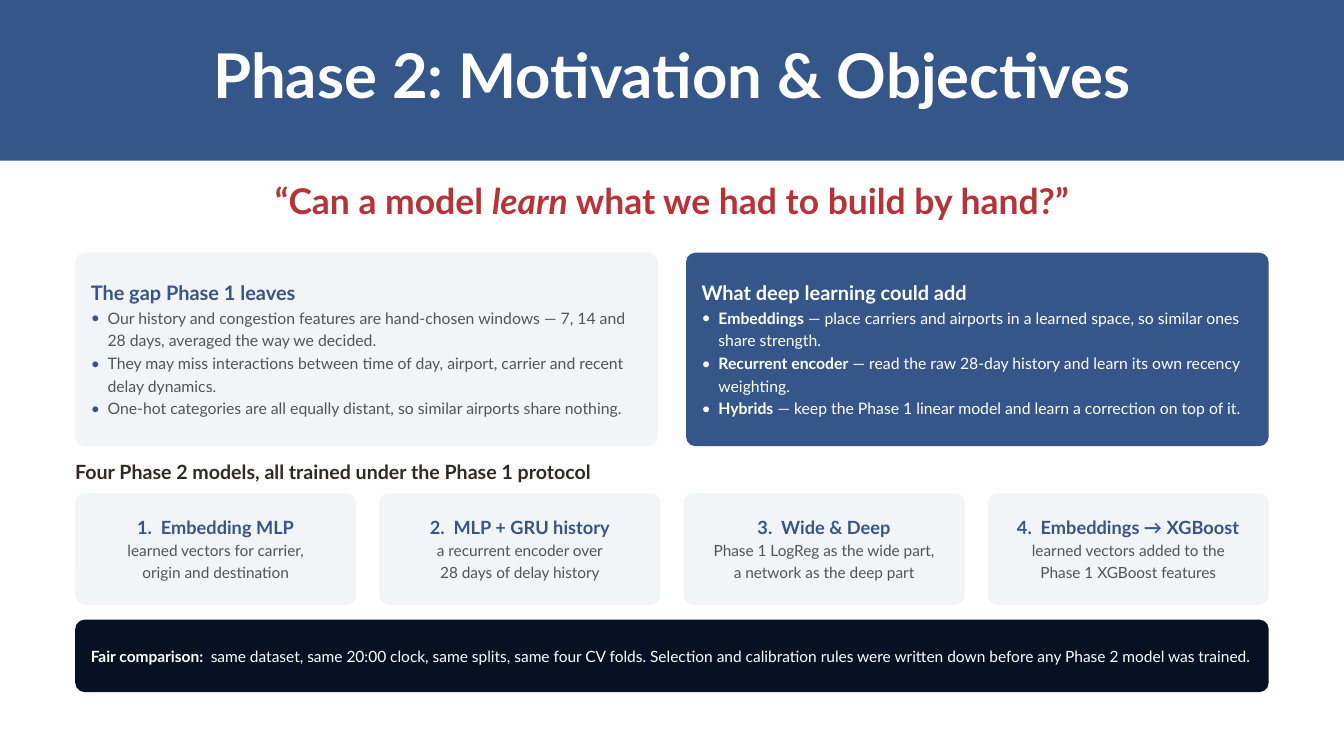
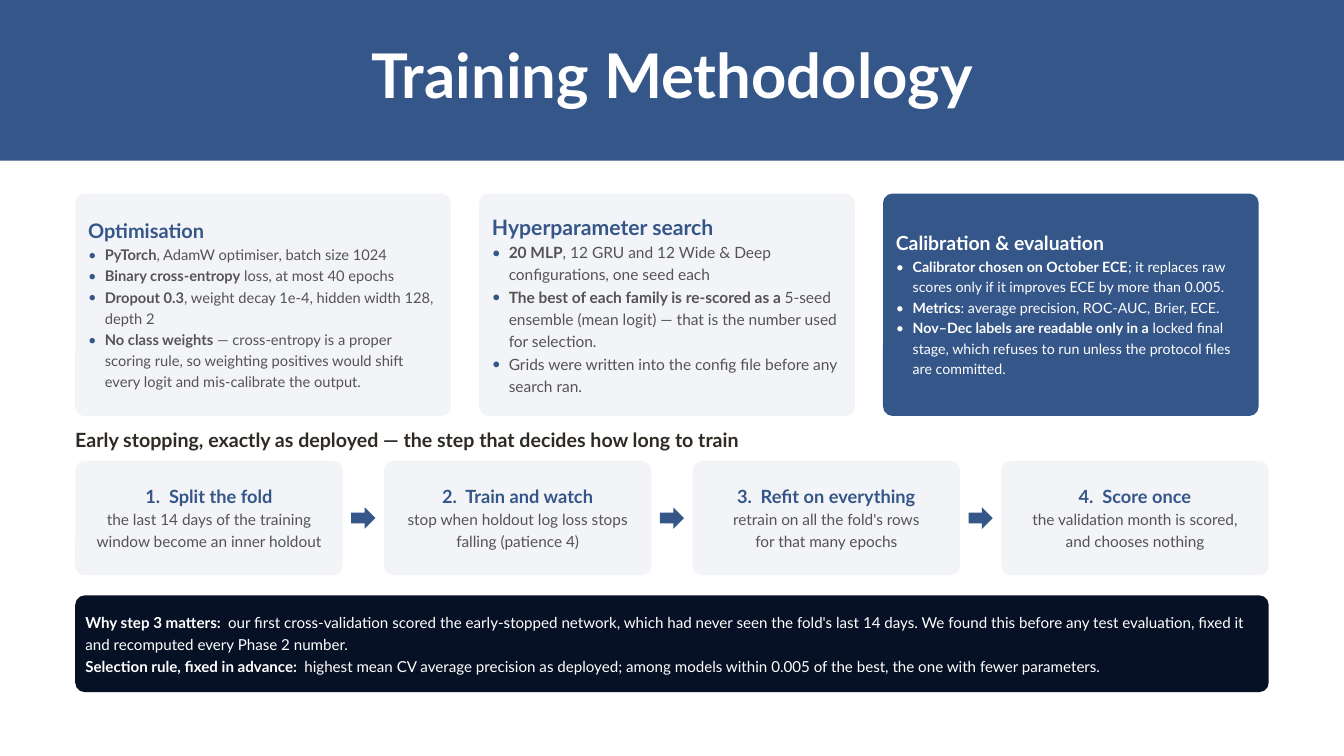
import lxml.etree
import pptx
import pptx.dml.color
import pptx.enum.shapes
import pptx.enum.text
import pptx.oxml.ns
import pptx.util

Inches, Pt = pptx.util.Inches, pptx.util.Pt
SHAPE = pptx.enum.shapes.MSO_SHAPE
ALIGN = pptx.enum.text.PP_ALIGN
ANCHOR = pptx.enum.text.MSO_ANCHOR

COLORS = {"blue": "355688", "pale": "F3F4F7", "navy": "071125", "red": "B63338",
          "ink": "2F2A24", "gray": "545454", "white": "FFFFFF"}
FONT = "Lato"
LEFT, WIDTH = 1.12, 17.76
CARD_GAP, RADIUS, BULLET_INDENT = 0.42, 0.14, 0.25

# Asterisks mark the emphasised words of a text.
SLIDES = [
    {
        "title": "Phase 2: Motivation & Objectives",
        "quote": "“Can a model *learn* what we had to build by hand?”",
        "cards": {"top": 3.76, "width": 8.67, "height": 2.88, "inset": 0.19, "items": [
            {"head": "The gap Phase 1 leaves", "theme": "light", "sizes": (21.4, 16.9),
             "leading": (28.2, 24.3), "points": [
                 "Our history and congestion features are hand-chosen windows — 7, 14 and 28 days, "
                 "averaged the way we decided.",
                 "They may miss interactions between time of day, airport, carrier and recent "
                 "delay dynamics.",
                 "One-hot categories are all equally distant, so similar airports share nothing."]},
            {"head": "What deep learning could add", "theme": "dark", "sizes": (21.4, 16.9),
             "leading": (28.2, 24.3), "points": [
                 "*Embeddings* — place carriers and airports in a learned space, so similar ones "
                 "share strength.",
                 "*Recurrent encoder* — read the raw 28-day history and learn its own recency "
                 "weighting.",
                 "*Hybrids* — keep the Phase 1 linear model and learn a correction on top of it."]},
        ]},
        "subhead": ("Four Phase 2 models, all trained under the Phase 1 protocol", 6.77),
        "steps": {"top": 7.34, "width": 4.18, "height": 1.66, "arrows": False, "items": [
            ("Embedding MLP", "learned vectors for carrier,", "origin and destination"),
            ("MLP + GRU history", "a recurrent encoder over", "28 days of delay history"),
            ("Wide & Deep", "Phase 1 LogReg as the wide part,", "a network as the deep part"),
            ("Embeddings → XGBoost", "learned vectors added to the", "Phase 1 XGBoost features"),
        ]},
        "note": {"top": 9.22, "height": 1.08, "inset": 0.19, "size": 16.6, "leading": 24.3,
                 "lines": [
                     "*Fair comparison:  *same dataset, same 20:00 clock, same splits, same four "
                     "CV folds. Selection and calibration rules were written down before any "
                     "Phase 2 model was trained."]},
    },
    {
        "title": "Training Methodology",
        "quote": None,
        "cards": {"top": 2.88, "width": 5.59, "height": 3.31, "inset": 0.15, "items": [
            {"head": "Optimisation", "theme": "light", "sizes": (21.4, 15.7),
             "leading": (28.2, 22.6), "points": [
                 "*PyTorch*, AdamW optimiser, batch size 1024",
                 "*Binary cross-entropy* loss, at most 40 epochs",
                 "*Dropout 0.3*, weight decay 1e-4, hidden width 128, depth 2",
                 "*No class weights* — cross-entropy is a proper scoring rule, so weighting "
                 "positives would shift every logit and mis-calibrate the output."]},
            {"head": "Hyperparameter search", "theme": "light", "sizes": (22.7, 16.6),
             "leading": (30, 23.9), "points": [
                 "*20 MLP*, 12 GRU and 12 Wide & Deep configurations, one seed each",
                 "*The best of each family is re-scored as a *5-seed ensemble (mean logit) — "
                 "that is the number used for selection.",
                 "Grids were written into the config file before any search ran."]},
            {"head": "Calibration & evaluation", "theme": "dark", "sizes": (20.8, 15.2),
             "leading": (27.4, 21.9), "points": [
                 "*Calibrator chosen on October ECE*; it replaces raw scores only if it improves "
                 "ECE by more than 0.005.",
                 "*Metrics*: average precision, ROC-AUC, Brier, ECE.",
                 "*Nov–Dec labels are readable only in a *locked final stage, which refuses to "
                 "run unless the protocol files are committed."]},
        ]},
        "subhead": ("Early stopping, exactly as deployed — the step that decides how long to train",
                    6.29),
        "steps": {"top": 6.86, "width": 3.98, "height": 1.7, "arrows": True, "items": [
            ("Split the fold", "the last 14 days of the training", "window become an inner holdout"),
            ("Train and watch", "stop when holdout log loss stops", "falling (patience 4)"),
            ("Refit on everything", "retrain on all the fold's rows", "for that many epochs"),
            ("Score once", "the validation month is scored,", "and chooses nothing"),
        ]},
        "note": {"top": 8.86, "height": 1.44, "inset": 0.11, "size": 16.2, "leading": 23.7,
                 "lines": [
                     "*Why step 3 matters:  *our first cross-validation scored the early-stopped "
                     "network, which had never seen the fold's last 14 days. We found this before "
                     "any test evaluation, fixed it and recomputed every Phase 2 number.",
                     "*Selection rule, fixed in advance:  *highest mean CV average precision as "
                     "deployed; among models within 0.005 of the best, the one with fewer "
                     "parameters."]},
    },
]

THEMES = {"light": {"fill": "pale", "head": "blue", "body": "gray"},
          "dark": {"fill": "blue", "head": "white", "body": "white"}}


def rgb(name):
    return pptx.dml.color.RGBColor.from_string(COLORS[name])


def set_bullet(p, color):
    """Give a paragraph a hanging round bullet."""
    ppr = p._p.get_or_add_pPr()
    indent = Inches(BULLET_INDENT)
    ppr.set("marL", str(indent))
    ppr.set("indent", str(-indent))
    qn = pptx.oxml.ns.qn
    clr = lxml.etree.SubElement(ppr, qn("a:buClr"))
    lxml.etree.SubElement(clr, qn("a:srgbClr")).set("val", COLORS[color])
    lxml.etree.SubElement(ppr, qn("a:buFont")).set("typeface", FONT)
    lxml.etree.SubElement(ppr, qn("a:buChar")).set("char", "•")


def add_text(tf, text, size, leading, color, bold=False, emphasis="bold",
             align=ALIGN.LEFT, bullet=None):
    """Fill the empty first paragraph, or add one; asterisks switch the emphasis."""
    p = tf.paragraphs[0] if not tf.text else tf.add_paragraph()
    p.alignment, p.line_spacing = align, Pt(leading)
    if bullet:
        set_bullet(p, bullet)
    for i, part in enumerate(text.split("*")):
        if not part:
            continue
        r = p.add_run()
        r.text = part
        r.font.color.rgb = rgb(color)
        style = {"name": FONT, "size": Pt(size), "bold": bold}
        if i % 2:
            style[emphasis] = True
        for key, value in style.items():
            setattr(r.font, key, value)


def set_frame(tf, inset=0, anchor=ANCHOR.TOP, lift=0):
    """Set insets and anchor; lift raises the text by half its value."""
    margins = {f"margin_{side}": Inches(inset) for side in ("left", "right", "top")}
    frame = {**margins, "margin_bottom": Inches(inset + lift), "word_wrap": True,
             "vertical_anchor": anchor, "auto_size": pptx.enum.text.MSO_AUTO_SIZE.NONE}
    for key, value in frame.items():
        setattr(tf, key, value)
    return tf


def add_block(slide, kind, x, y, w, h, fill):
    sp = slide.shapes.add_shape(kind, Inches(x), Inches(y), Inches(w), Inches(h))
    sp.shadow.inherit = False
    sp.fill.solid()
    sp.fill.fore_color.rgb = rgb(fill)
    sp.line.fill.background()
    return sp


def add_panel(slide, x, y, w, h, fill, inset):
    sp = add_block(slide, SHAPE.ROUNDED_RECTANGLE, x, y, w, h, fill)
    sp.adjustments[0] = RADIUS / min(w, h)
    return set_frame(sp.text_frame, inset, ANCHOR.MIDDLE, lift=0.04)


def add_label(slide, y, h):
    box = slide.shapes.add_textbox(Inches(LEFT), Inches(y), Inches(WIDTH), Inches(h))
    return set_frame(box.text_frame)


def add_title(slide, text):
    band = add_block(slide, SHAPE.RECTANGLE, -0.02, -0.02, 20.04, 2.41, "blue")
    title = slide.shapes.title
    title._element.addprevious(band._element)
    place = {"left": LEFT, "top": 0.46, "width": WIDTH, "height": 1.44}
    for key, value in place.items():
        setattr(title, key, Inches(value))
    add_text(set_frame(title.text_frame), text, 66, 85.5, "white", True, align=ALIGN.CENTER)


def add_cards(slide, cards):
    for i, card in enumerate(cards["items"]):
        theme = THEMES[card["theme"]]
        x = LEFT + i * (cards["width"] + CARD_GAP)
        tf = add_panel(slide, x, cards["top"], cards["width"], cards["height"],
                       theme["fill"], cards["inset"])
        (head_size, size), (head_leading, leading) = card["sizes"], card["leading"]
        add_text(tf, card["head"], head_size, head_leading, theme["head"], True)
        for point in card["points"]:
            add_text(tf, point, size, leading, theme["body"], bullet=theme["head"])


def add_steps(slide, steps):
    items, w, h, top = steps["items"], steps["width"], steps["height"], steps["top"]
    gap = (WIDTH - len(items) * w) / (len(items) - 1)
    arrow_w, arrow_h = 0.36, 0.32
    for i, (head, *lines) in enumerate(items):
        x = LEFT + i * (w + gap)
        if steps["arrows"] and i:
            add_block(slide, SHAPE.RIGHT_ARROW, x - (gap + arrow_w) / 2,
                      top + (h - arrow_h) / 2, arrow_w, arrow_h, "blue")
        tf = add_panel(slide, x, top, w, h, "pale", 0.06)
        add_text(tf, f"{i + 1}.  {head}", 19.5, 25.7, "blue", True, align=ALIGN.CENTER)
        for line in lines:
            add_text(tf, line, 16.5, 23, "gray", align=ALIGN.CENTER)


def add_note(slide, note):
    tf = add_panel(slide, LEFT, note["top"], WIDTH, note["height"], "navy", note["inset"])
    for line in note["lines"]:
        add_text(tf, line, note["size"], note["leading"], "white")


def main():
    prs = pptx.Presentation()
    prs.slide_width, prs.slide_height = Inches(20), Inches(11.25)
    title_only = prs.slide_layouts[5]
    for content in SLIDES:
        slide = prs.slides.add_slide(title_only)
        add_title(slide, content["title"])
        if content["quote"]:
            add_text(add_label(slide, 2.52, 0.96), content["quote"], 38, 55.6, "red", True,
                     emphasis="italic", align=ALIGN.CENTER)
        add_cards(slide, content["cards"])
        subhead, top = content["subhead"]
        add_text(add_label(slide, top, 0.57), subhead, 21, 30.7, "ink", True)
        add_steps(slide, content["steps"])
        add_note(slide, content["note"])
    prs.save("out.pptx")


if __name__ == "__main__":
    main()
